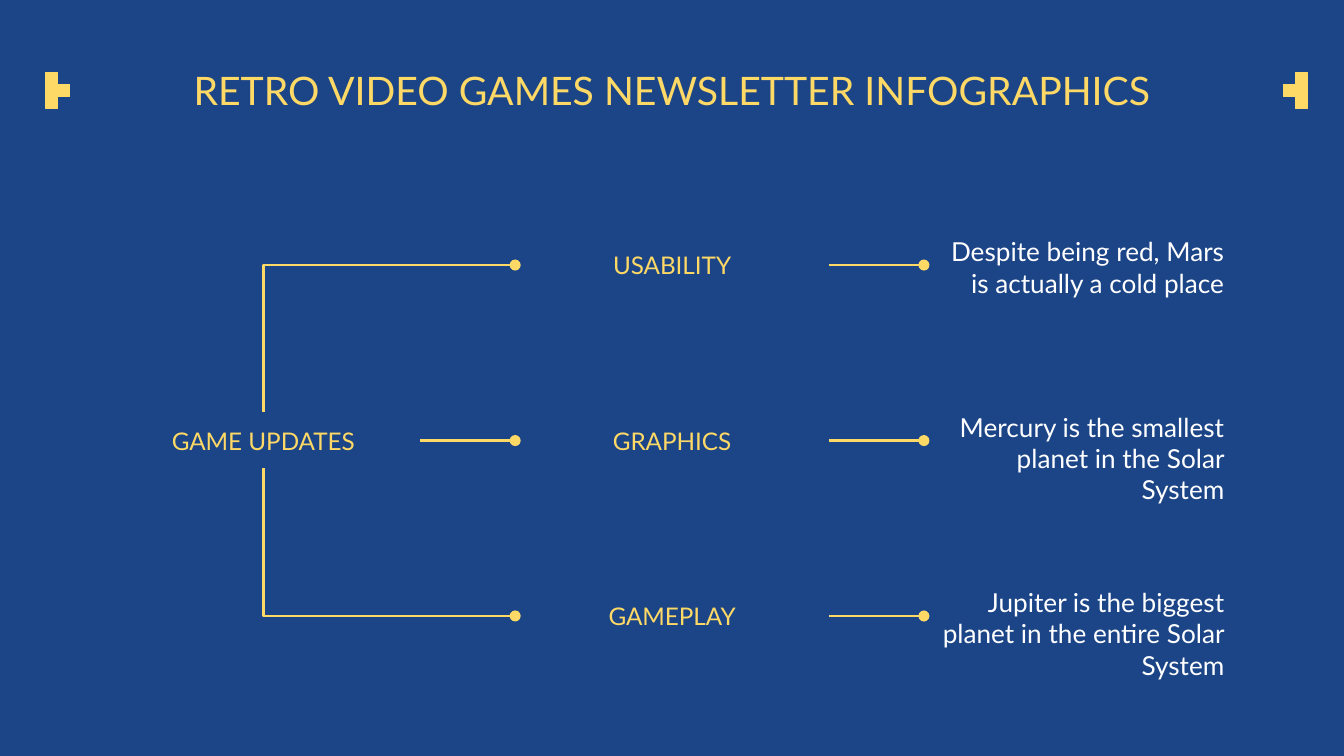
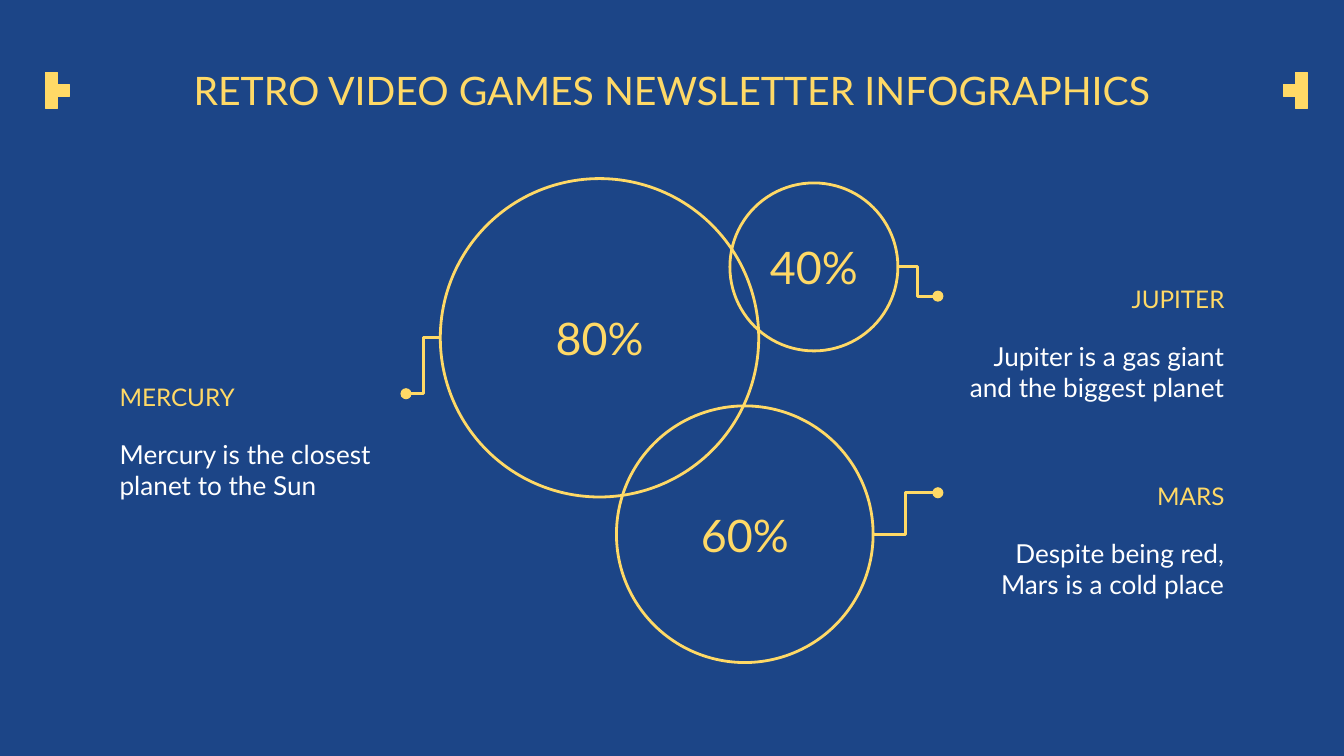
import pptx
import pptx.dml.color
import pptx.enum.shapes
import pptx.enum.text
import pptx.util
from lxml import etree
from pptx.oxml.ns import qn

Pt = pptx.util.Pt
SHAPES = pptx.enum.shapes.MSO_SHAPE
ANCHOR = pptx.enum.text.MSO_ANCHOR
ALIGN = pptx.enum.text.PP_ALIGN
ELBOW = pptx.enum.shapes.MSO_CONNECTOR.ELBOW

COLOURS = {"blue": "1C4587", "yellow": "FFD966", "white": "FFFFFF"}
FONT = "Lato"
TITLE = "RETRO VIDEO GAMES NEWSLETTER INFOGRAPHICS"
WIDTH, HEIGHT = 720, 405
TOP, LEFT, BOTTOM, RIGHT = range(4)  # connection sites of a text box


def colour(name):
    return pptx.dml.color.RGBColor.from_string(COLOURS[name])


def add_text(page, box, text, size, ink="yellow", align=ALIGN.CENTER,
             anchor=ANCHOR.BOTTOM):
    shape = page.shapes.add_textbox(*map(Pt, box))
    frame = shape.text_frame
    frame.word_wrap = True
    frame.vertical_anchor = anchor
    frame.margin_left = frame.margin_right = Pt(7.2)
    frame.margin_top = frame.margin_bottom = Pt(7.2)
    para = frame.paragraphs[0]
    para.text = text
    para.alignment = align
    para.font.name = FONT
    para.font.size = Pt(size)
    para.font.color.rgb = colour(ink)
    return shape


def add_pixel_mark(page, left, top, cells):
    """Draw a block of square pixels, given as (column, row) pairs."""
    side = 6.4
    group = page.shapes.add_group_shape()
    for column, row in cells:
        pixel = group.shapes.add_shape(
            SHAPES.RECTANGLE, Pt(left + column * side), Pt(top + row * side),
            Pt(side), Pt(side))
        pixel.shadow.inherit = False
        pixel.fill.solid()
        pixel.fill.fore_color.rgb = colour("yellow")
        pixel.line.color.rgb = colour("yellow")
        pixel.line.width = Pt(0.75)


def add_page(deck):
    """Add a page with the shared background, title and pixel marks."""
    page = deck.slides.add_slide(deck.slide_layouts[6])
    page.background.fill.solid()
    page.background.fill.fore_color.rgb = colour("blue")
    add_text(page, (24.5, 23, 671, 45), TITLE, 21)
    add_pixel_mark(page, 24.4, 38.9, [(0, 0), (0, 1), (0, 2), (1, 1)])
    add_pixel_mark(page, 687.6, 38.9, [(1, 0), (1, 1), (1, 2), (0, 1)])
    return page


def add_link(page, label, side, end=(0, 0)):
    """Draw an elbow line that starts with a dot at one side of a label."""
    link = page.shapes.add_connector(ELBOW, 0, 0, *map(Pt, end))
    link.begin_connect(label, side)
    link.line.color.rgb = colour("yellow")
    link.line.width = Pt(1.5)
    etree.SubElement(link.line._get_or_add_ln(), qn("a:headEnd"), type="oval")
    etree.SubElement(link._element.spPr, qn("a:effectLst"))
    return link


def add_tree(page, box, root_text, branches):
    """Place a root, its topics and their descriptions in three columns."""
    left, top, width, height = box
    column_width, topic_height, note_height = 168, 30, 46
    column_pitch = (width - column_width) / 2
    row_pitch = (height - note_height) / (len(branches) - 1)

    def cell(column, middle, cell_height):
        return (left + column * column_pitch, middle - cell_height / 2,
                column_width, cell_height)

    root = add_text(page, cell(0, top + height / 2, topic_height), root_text, 13)
    for row, (topic_text, note_text, root_side) in enumerate(branches):
        middle = top + note_height / 2 + row * row_pitch
        topic = add_text(page, cell(1, middle, topic_height), topic_text, 13)
        note = add_text(page, cell(2, middle, note_height), note_text, 14,
                        "white", ALIGN.RIGHT, ANCHOR.TOP)
        note.text_frame.paragraphs[0].space_after = Pt(16)
        branch = add_link(page, topic, LEFT)
        branch.end_connect(root, root_side)
        if root_side != RIGHT:
            geometry = branch._element.spPr.find(qn("a:prstGeom"))
            geometry.set("prst", "bentConnector2")
        add_link(page, note, LEFT).end_connect(topic, RIGHT)


def add_bubble(page, center, diameter, percent, label_box, name, note, on_left):
    """Draw a circle with its percentage, and a label linked to its side."""
    x, y = center
    radius = diameter / 2
    circle = page.shapes.add_shape(SHAPES.OVAL, Pt(x - radius), Pt(y - radius),
                                   Pt(diameter), Pt(diameter))
    circle.shadow.inherit = False
    circle.fill.background()
    circle.line.color.rgb = colour("yellow")
    circle.line.width = Pt(1.5)
    add_text(page, (x - 42, y - 16, 84, 32), percent, 24, anchor=ANCHOR.MIDDLE)

    left, top, width, height = label_box
    name_height = 33
    align = ALIGN.LEFT if on_left else ALIGN.RIGHT
    label = add_text(page, (left, top, width, name_height), name, 13, align=align)
    add_text(page, (left, top + name_height, width, height - name_height), note,
             14, "white", align, ANCHOR.TOP)
    edge = x - radius if on_left else x + radius
    add_link(page, label, RIGHT if on_left else LEFT, (edge, y))


def main():
    deck = pptx.Presentation()
    deck.slide_width, deck.slide_height = Pt(WIDTH), Pt(HEIGHT)

    add_tree(add_page(deck), (57, 119, 606, 234), "GAME UPDATES", [
        ("USABILITY", "Despite being red, Mars is actually a cold place", TOP),
        ("GRAPHICS", "Mercury is the smallest planet in the Solar System", RIGHT),
        ("GAMEPLAY", "Jupiter is the biggest planet in the entire Solar System",
         BOTTOM),
    ])

    page = add_page(deck)
    add_bubble(page, (321.2, 181), 170.6, "80%", (57, 194.5, 160.5, 77.5),
               "MERCURY", "Mercury is the closest planet to the Sun", True)
    add_bubble(page, (399, 286.2), 137.5, "60%", (502.5, 247.5, 160.5, 77.5),
               "MARS", "Despite being red, Mars is a cold place", False)
    add_bubble(page, (436, 143), 90, "40%", (502.5, 142.2, 160.5, 77.5),
               "JUPITER", "Jupiter is a gas giant and the biggest planet", False)
    deck.save("out.pptx")


if __name__ == "__main__":
    main()
